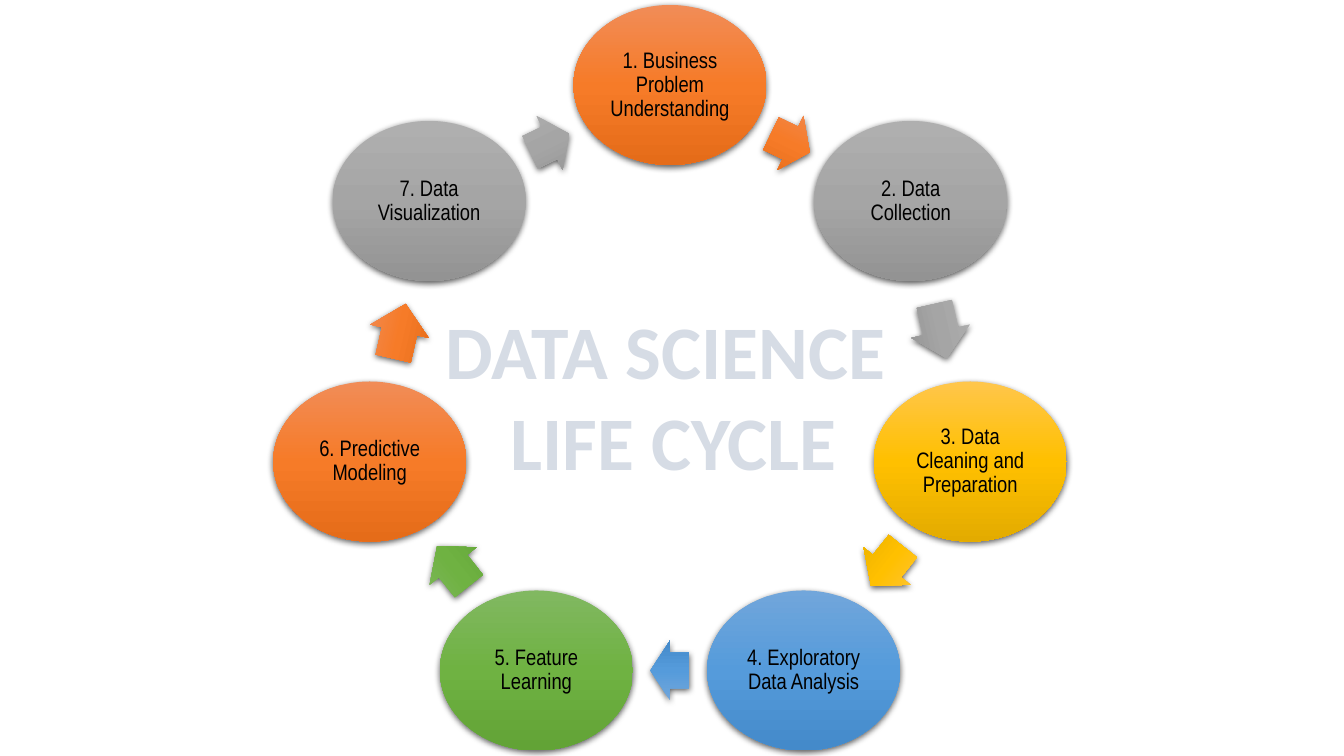
"""Build the data science life cycle slide: seven stages on a ring joined by arrows."""
import math

from lxml import etree
from pptx import Presentation
from pptx import util as u
from pptx.dml.color import RGBColor
from pptx.enum import dml, shapes, text

SCALE = 914400 / 100.8
DRAWING = "http://schemas.openxmlformats.org/drawingml/2006/main"
COLORS = {
    "orange": ("F18C57", "F67B28", "E56C19"),
    "gray": ("AFAFAF", "A5A5A5", "939393"),
    "yellow": ("FFC64B", "FFC000", "E3AB00"),
    "blue": ("71A6DB", "559BDB", "448ACA"),
    "green": ("81B861", "6FB242", "62A336"),
    "label": "000000",
    "title": "44546A",
    "title_back": "D6DCE5",
}
STAGES = [
    ("1. Business Problem Understanding", "orange", 43),
    ("2. Data Collection", "gray", 56),
    ("3. Data Cleaning and Preparation", "yellow", 51),
    ("4. Exploratory Data Analysis", "blue", 39),
    ("5. Feature Learning", "green", 51),
    ("6. Predictive Modeling", "orange", 56),
    ("7. Data Visualization", "gray", 43),
]
RING_X, RING_Y, RADIUS = 670, 393, 308
STAGE_WIDTH, STAGE_HEIGHT, ARROW_HEIGHT = 193, 160, 60
STEP = 360 / len(STAGES)


def px(length):
    return u.Emu(round(length * SCALE))


def add_shaded(kind, center_x, center_y, width, height, color):
    shape = slide.shapes.add_shape(
        kind, px(center_x - width / 2), px(center_y - height / 2), px(width), px(height))
    shape.line.fill.background()
    stops = "".join(f'<a:gs pos="{position}"><a:srgbClr val="{value}"/></a:gs>'
                    for position, value in zip((0, 50000, 100000), COLORS[color]))
    gradient = etree.fromstring(
        f'<a:gradFill xmlns:a="{DRAWING}" rotWithShape="1"><a:gsLst>{stops}</a:gsLst>'
        '<a:lin ang="5400000" scaled="0"/></a:gradFill>')
    shadow = etree.fromstring(
        f'<a:effectLst xmlns:a="{DRAWING}"><a:outerShdw blurRad="57150" dist="19050" '
        'dir="5400000" algn="ctr" rotWithShape="0"><a:srgbClr val="000000">'
        '<a:alpha val="63000"/></a:srgbClr></a:outerShdw></a:effectLst>')
    properties = shape._element.spPr
    properties.find(f"{{{DRAWING}}}prstGeom").addnext(gradient)
    properties.append(shadow)
    return shape


presentation = Presentation()
presentation.slide_width, presentation.slide_height = px(1344), px(756)
slide = presentation.slides.add_slide(presentation.slide_layouts[6])

centers = []
for index in range(len(STAGES) + 1):
    angle = math.radians(STEP * index)
    centers.append((RING_X + RADIUS * math.sin(angle), RING_Y - RADIUS * math.cos(angle)))

label_frame = {"word_wrap": True, "vertical_anchor": text.MSO_ANCHOR.MIDDLE,
               "margin_left": px(2), "margin_right": px(2),
               "margin_top": px(2), "margin_bottom": px(2)}
for index, (label, color, arrow_length) in enumerate(STAGES):
    (x, y), (next_x, next_y) = centers[index:index + 2]
    stage = add_shaded(shapes.MSO_SHAPE.OVAL, x, y, STAGE_WIDTH, STAGE_HEIGHT, color)
    for name, value in label_frame.items():
        setattr(stage.text_frame, name, value)
    paragraph = stage.text_frame.paragraphs[0]
    paragraph.alignment = text.PP_ALIGN.CENTER
    paragraph.line_spacing = 0.9
    run = paragraph.add_run()
    run.text = label
    run.font.name, run.font.size = "Arial Narrow", u.Pt(16)
    run.font.color.rgb = RGBColor.from_string(COLORS["label"])

    arrow = add_shaded(shapes.MSO_SHAPE.RIGHT_ARROW, (x + next_x) / 2, (y + next_y) / 2,
                       arrow_length, ARROW_HEIGHT, color)
    arrow.adjustments[0], arrow.adjustments[1] = 0.6, 0.5
    arrow.rotation = STEP * (index + 0.5)

title = slide.shapes.add_textbox(px(433), px(299), px(482), px(194))
title.text_frame.word_wrap = False
title.text_frame.text = "DATA SCIENCE \nLIFE CYCLE"
for paragraph in title.text_frame.paragraphs:
    paragraph.alignment = text.PP_ALIGN.CENTER
    font = paragraph.runs[0].font
    for name, value in {"name": "Calibri", "size": u.Pt(54), "bold": True}.items():
        setattr(font, name, value)
    font.fill.patterned()
    font.fill.pattern = dml.MSO_PATTERN.DARK_UPWARD_DIAGONAL
    font.fill.fore_color.rgb = RGBColor.from_string(COLORS["title"])
    font.fill.back_color.rgb = RGBColor.from_string(COLORS["title_back"])

presentation.save("out.pptx")
